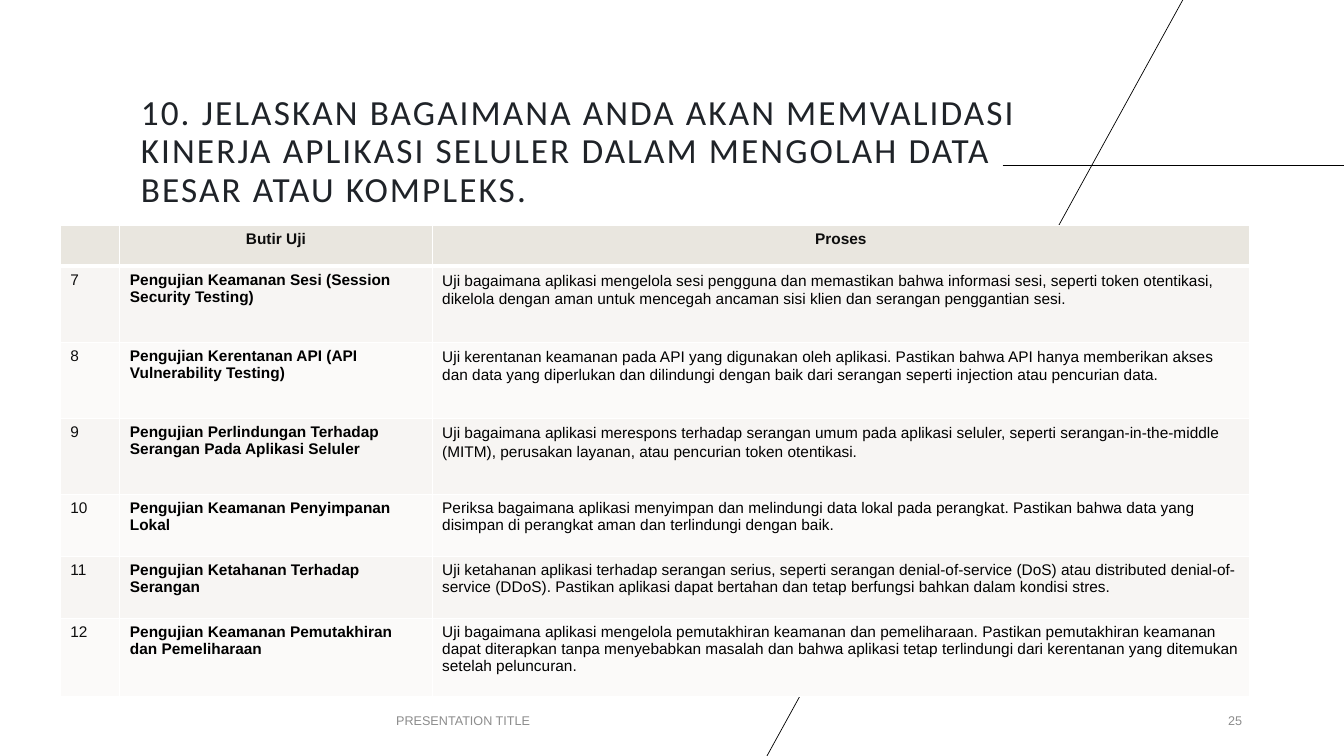
from lxml import etree
from pptx import Presentation
from pptx.dml.color import RGBColor
from pptx.enum.shapes import MSO_CONNECTOR
from pptx.enum.text import MSO_ANCHOR, PP_ALIGN
from pptx.oxml.ns import qn
from pptx.util import Cm, Pt

STRAIGHT = MSO_CONNECTOR.STRAIGHT
MIDDLE, BOTTOM = MSO_ANCHOR.MIDDLE, MSO_ANCHOR.BOTTOM
LEFT, CENTER, RIGHT = PP_ALIGN.LEFT, PP_ALIGN.CENTER, PP_ALIGN.RIGHT

HEADER_FILL = "E9E6DF"
BAND_FILLS = ["F7F5F3", "FBFAF9"]
COLUMN_WIDTHS = [1.5, 7.87, 20.6]
HEADER_HEIGHT = 1.02
FIRST_NUMBER = 7
SPACED_ROWS = 3

QUESTION = ("10. JELASKAN BAGAIMANA ANDA AKAN MEMVALIDASI KINERJA APLIKASI SELULER "
            "DALAM MENGOLAH DATA BESAR ATAU KOMPLEKS.")

TESTS = [
    ("Pengujian Keamanan Sesi (Session Security Testing)",
     "Uji bagaimana aplikasi mengelola sesi pengguna dan memastikan bahwa informasi sesi, "
     "seperti token otentikasi, dikelola dengan aman untuk mencegah ancaman sisi klien dan "
     "serangan penggantian sesi.", 1.92),
    ("Pengujian Kerentanan API (API Vulnerability Testing)",
     "Uji kerentanan keamanan pada API yang digunakan oleh aplikasi. Pastikan bahwa API hanya "
     "memberikan akses dan data yang diperlukan dan dilindungi dengan baik dari serangan "
     "seperti injection atau pencurian data.", 1.92),
    ("Pengujian Perlindungan Terhadap Serangan Pada Aplikasi Seluler",
     "Uji bagaimana aplikasi merespons terhadap serangan umum pada aplikasi seluler, seperti "
     "serangan-in-the-middle (MITM), perusakan layanan, atau pencurian token otentikasi.", 1.92),
    ("Pengujian Keamanan Penyimpanan Lokal",
     "Periksa bagaimana aplikasi menyimpan dan melindungi data lokal pada perangkat. Pastikan "
     "bahwa data yang disimpan di perangkat aman dan terlindungi dengan baik.", 1.56),
    ("Pengujian Ketahanan Terhadap Serangan",
     "Uji ketahanan aplikasi terhadap serangan serius, seperti serangan denial-of-service (DoS) "
     "atau distributed denial-of-service (DDoS). Pastikan aplikasi dapat bertahan dan tetap "
     "berfungsi bahkan dalam kondisi stres.", 1.56),
    ("Pengujian Keamanan Pemutakhiran dan Pemeliharaan",
     "Uji bagaimana aplikasi mengelola pemutakhiran keamanan dan pemeliharaan. Pastikan "
     "pemutakhiran keamanan dapat diterapkan tanpa menyebabkan masalah dan bahwa aplikasi tetap "
     "terlindungi dari kerentanan yang ditemukan setelah peluncuran.", 1.97),
]


def color(hex_code):
    return RGBColor.from_string(hex_code)


def write(frame, text, size, font, hex_code, align=LEFT, bold=False):
    frame.text = text
    paragraph = frame.paragraphs[0]
    paragraph.alignment = align
    for run in paragraph.runs:
        run.font.size = Pt(size)
        run.font.name = font
        run.font.bold = bold
        run.font.color.rgb = color(hex_code)
    return paragraph


def add_accent_line(slide, start, end):
    accent = slide.shapes.add_connector(STRAIGHT, *map(Cm, start + end))
    accent.line.color.rgb = color("000000")
    accent.line.width = Pt(0.5)
    etree.SubElement(accent.element.spPr, qn("a:effectLst"))


def add_label(slide, box, anchor, *text_style):
    frame = slide.shapes.add_textbox(*map(Cm, box)).text_frame
    frame.word_wrap = True
    frame.vertical_anchor = anchor
    return write(frame, *text_style)


def add_heading(slide):
    heading = add_label(slide, (3.3, 2.06, 23.29, 3.35), BOTTOM,
                        QUESTION, 25.2, "Calibri", "1F2328")
    heading.line_spacing = 0.9
    heading.runs[0].font._element.set("spc", "150")


def add_footer(slide, left, width, text, align):
    add_label(slide, (left, 17.65, width, 1.02), MIDDLE, text, 9, "Arial", "8C8C8C", align)


def style_cell(cell, fill, top=1, bottom=1):
    properties = cell._tc.get_or_add_tcPr()
    for side, points in (("L", 1), ("R", 1), ("T", top), ("B", bottom)):
        border = etree.SubElement(properties, qn("a:ln" + side), w=str(Pt(points)))
        solid = etree.SubElement(border, qn("a:solidFill"))
        etree.SubElement(solid, qn("a:srgbClr"), val="FFFFFF")
    cell.fill.solid()
    cell.fill.fore_color.rgb = color(fill)


def fill_header(table):
    for cell, caption in zip(table.rows[0].cells, ["", "Butir Uji", "Proses"]):
        style_cell(cell, HEADER_FILL, bottom=3)
        write(cell.text_frame, caption, 11, "Arial", "0D0D0D", CENTER, True)


def fill_test(table, index, name, process):
    cells = list(table.rows[index + 1].cells)
    for cell in cells:
        style_cell(cell, BAND_FILLS[index % 2], top=3 if index == 0 else 1)
    number = str(FIRST_NUMBER + index)
    write(cells[0].text_frame, number, 11, "Arial", "0D0D0D")
    write(cells[1].text_frame, name, 11, "Arial", "000000", bold=True)
    description = write(cells[2].text_frame, process, 11, "Arial", "000000")
    if index < SPACED_ROWS:
        description.line_spacing = 1.07
        description.space_after = Pt(8)


def add_test_table(slide):
    heights = [HEADER_HEIGHT] + [height for _, _, height in TESTS]
    table = slide.shapes.add_table(len(heights), len(COLUMN_WIDTHS), Cm(1.52), Cm(5.69),
                                   Cm(sum(COLUMN_WIDTHS)), Cm(sum(heights))).table
    for column, width in zip(table.columns, COLUMN_WIDTHS):
        column.width = Cm(width)
    for row, height in zip(table.rows, heights):
        row.height = Cm(height)
    fill_header(table)
    for index, (name, process, _) in enumerate(TESTS):
        fill_test(table, index, name, process)


def main():
    presentation = Presentation()
    presentation.slide_width = Cm(33.87)
    presentation.slide_height = Cm(19.05)
    slide = presentation.slides.add_slide(presentation.slide_layouts[6])
    add_accent_line(slide, (25.27, 4.17), (33.87, 4.17))
    add_accent_line(slide, (29.85, -0.08), (19.3, 19.1))
    add_heading(slide)
    add_footer(slide, 6.83, 9.68, "PRESENTATION TITLE", CENTER)
    add_footer(slide, 23.93, 7.62, "25", RIGHT)
    add_test_table(slide)
    presentation.save("out.pptx")


if __name__ == "__main__":
    main()
